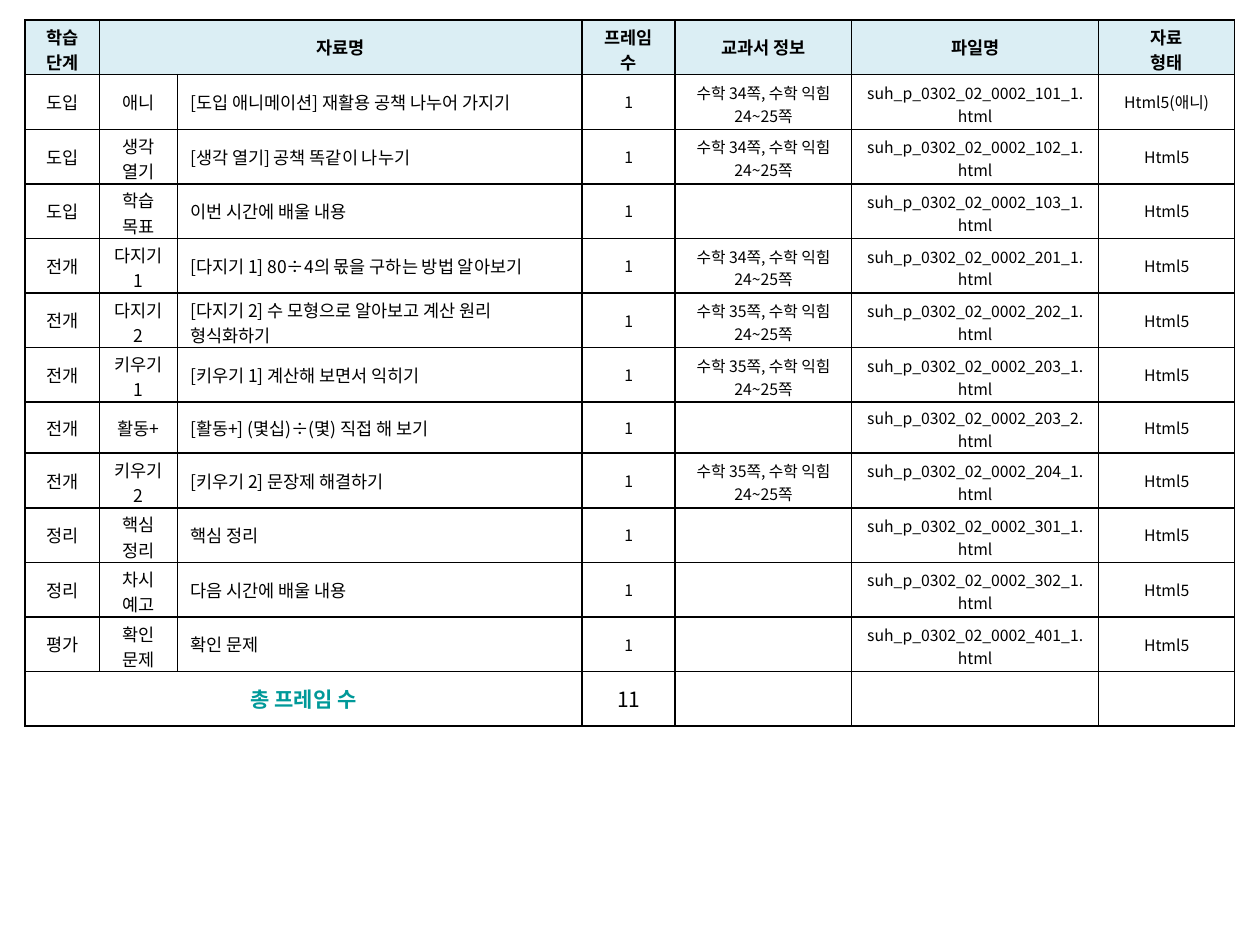
from dataclasses import dataclass
from lxml.etree import SubElement
from pptx import Presentation
from pptx.dml.color import RGBColor
from pptx.enum.text import MSO_ANCHOR as Anchor, PP_ALIGN as Align
from pptx.oxml.ns import qn
from pptx.util import Inches, Pt

WIDTH, HEIGHT = 10, 7.5
COLUMN_WIDTHS = [0.59, 0.62, 3.21, 0.74, 1.4, 1.96, 1.08]
LINE_LENGTHS = [4, 3, 30, 4, 15, 20, 10]  # characters that fit on one line
TABLE_HEIGHT, PLUS_ROW_HEIGHT, PLUS_ROW = 5.6, 0.4, 7

HEADINGS = ["학습 단계", "자료명", "", "프레임 수", "교과서 정보", "파일명", "자료\n형태"]
# stage, activity, title, textbook page, file code
LESSONS = [
    ("도입", "애니", "[도입 애니메이션] 재활용 공책 나누어 가지기", 34, "101_1"),
    ("도입", "생각 열기", "[생각 열기] 공책 똑같이 나누기", 34, "102_1"),
    ("도입", "학습 목표", "이번 시간에 배울 내용", None, "103_1"),
    ("전개", "다지기 1", "[다지기 1] 80÷4의 몫을 구하는 방법 알아보기", 34, "201_1"),
    ("전개", "다지기 2", "[다지기 2] 수 모형으로 알아보고 계산 원리 형식화하기", 35, "202_1"),
    ("전개", "키우기1", "[키우기 1] 계산해 보면서 익히기", 35, "203_1"),
    ("전개", "활동+", "[활동+] (몇십)÷(몇) 직접 해 보기", None, "203_2"),
    ("전개", "키우기2", "[키우기 2] 문장제 해결하기", 35, "204_1"),
    ("정리", "핵심 정리", "핵심 정리", None, "301_1"),
    ("정리", "차시 예고", "다음 시간에 배울 내용", None, "302_1"),
    ("평가", "확인 문제", "확인 문제", None, "401_1"),
]


def color(hex_value):
    return RGBColor.from_string(hex_value)


def write(cell, text, font, size=10, ink="000000", bold=False, align=Align.CENTER):
    frame = cell.text_frame
    frame.text = text
    for paragraph in frame.paragraphs:
        paragraph.alignment = align
        for run in paragraph.runs:
            run.font.name = font
            run.font.size = Pt(size)
            run.font.bold = bold
            run.font.color.rgb = color(ink)
            SubElement(run.font._element, qn("a:ea"), typeface=font)


def fit_two_lines(cell, row, column, text):
    """Trim the margins of a two-line cell so its row keeps its height."""
    if len(text) <= LINE_LENGTHS[column] and "\n" not in text:
        return
    small_text = row > 0 and column > 2
    roomy = small_text and row != PLUS_ROW
    cell.margin_top = Inches(0.05 if roomy else 0.03)
    cell.margin_bottom = Inches(0.02 if roomy else 0)


def lesson_values(lesson):
    stage, activity, title, page, code = lesson
    textbook = f"수학 {page}쪽, 수학 익힘 24~25쪽" if page else ""
    file_name = f"suh_p_0302_02_0002_{code}.html"
    file_type = "Html5(애니)" if activity == "애니" else "Html5"
    return [stage, activity, title, "1", textbook, file_name, file_type]


@dataclass
class LessonSlide:
    slide: object
    font: str = "Noto Sans CJK KR"
    header_fill: str = "DBEEF4"
    body_fill: str = "FFFFFF"
    accent: str = "009999"
    border: str = "000000"

    def table(self, left, top, widths, heights):
        """Add a plain table; left and top are shares of the slide."""
        table = self.slide.shapes.add_table(
            len(heights), len(widths),
            Inches(left * WIDTH), Inches(top * HEIGHT),
            Inches(sum(widths)), Inches(sum(heights))).table
        table.first_row = table.horz_banding = False
        for column, width in zip(table.columns, widths):
            column.width = Inches(width)
        for row, height in zip(table.rows, heights):
            row.height = Inches(height)
        for cell in table.iter_cells():
            self.outline(cell)
            cell.vertical_anchor = Anchor.MIDDLE
            self.fill(cell, self.body_fill)
        return table

    def outline(self, cell):
        properties = cell._tc.get_or_add_tcPr()
        for side in ("a:lnL", "a:lnR", "a:lnT", "a:lnB"):
            line = SubElement(properties, qn(side), w=str(Pt(1)))
            paint = SubElement(line, qn("a:solidFill"))
            SubElement(paint, qn("a:srgbClr"), val=self.border)

    def fill(self, cell, hex_value):
        cell.fill.solid()
        cell.fill.fore_color.rgb = color(hex_value)

    def header(self, table):
        for column, heading in enumerate(HEADINGS):
            cell = table.cell(0, column)
            self.fill(cell, self.header_fill)
            if heading:
                write(cell, heading, self.font, bold=True)
                fit_two_lines(cell, 0, column, heading)
        table.cell(0, 1).merge(table.cell(0, 2))

    def lessons(self, table):
        for row, lesson in enumerate(LESSONS, start=1):
            for column, value in enumerate(lesson_values(lesson)):
                if value:
                    cell = table.cell(row, column)
                    write(cell, value, self.font,
                          size=10 if column < 3 else 9,
                          align=Align.LEFT if column == 2 else Align.CENTER)
                    fit_two_lines(cell, row, column, value)

    def total(self, table):
        last = len(LESSONS) + 1
        table.cell(last, 0).merge(table.cell(last, 2))
        write(table.cell(last, 0), "총 프레임 수", self.font, size=12,
              ink=self.accent, bold=True)
        write(table.cell(last, 3), str(len(LESSONS)), self.font, size=12)


def main():
    presentation = Presentation()
    presentation.slide_width, presentation.slide_height = Inches(WIDTH), Inches(HEIGHT)
    page = LessonSlide(presentation.slides.add_slide(presentation.slide_layouts[6]))
    row_count = len(LESSONS) + 2
    row_height = (TABLE_HEIGHT - PLUS_ROW_HEIGHT) / (row_count - 1)
    heights = [PLUS_ROW_HEIGHT if row == PLUS_ROW else row_height
               for row in range(row_count)]
    table = page.table(0.02, 0.16 / HEIGHT, COLUMN_WIDTHS, heights)
    page.header(table)
    page.lessons(table)
    page.total(table)
    presentation.save("out.pptx")


if __name__ == "__main__":
    main()
